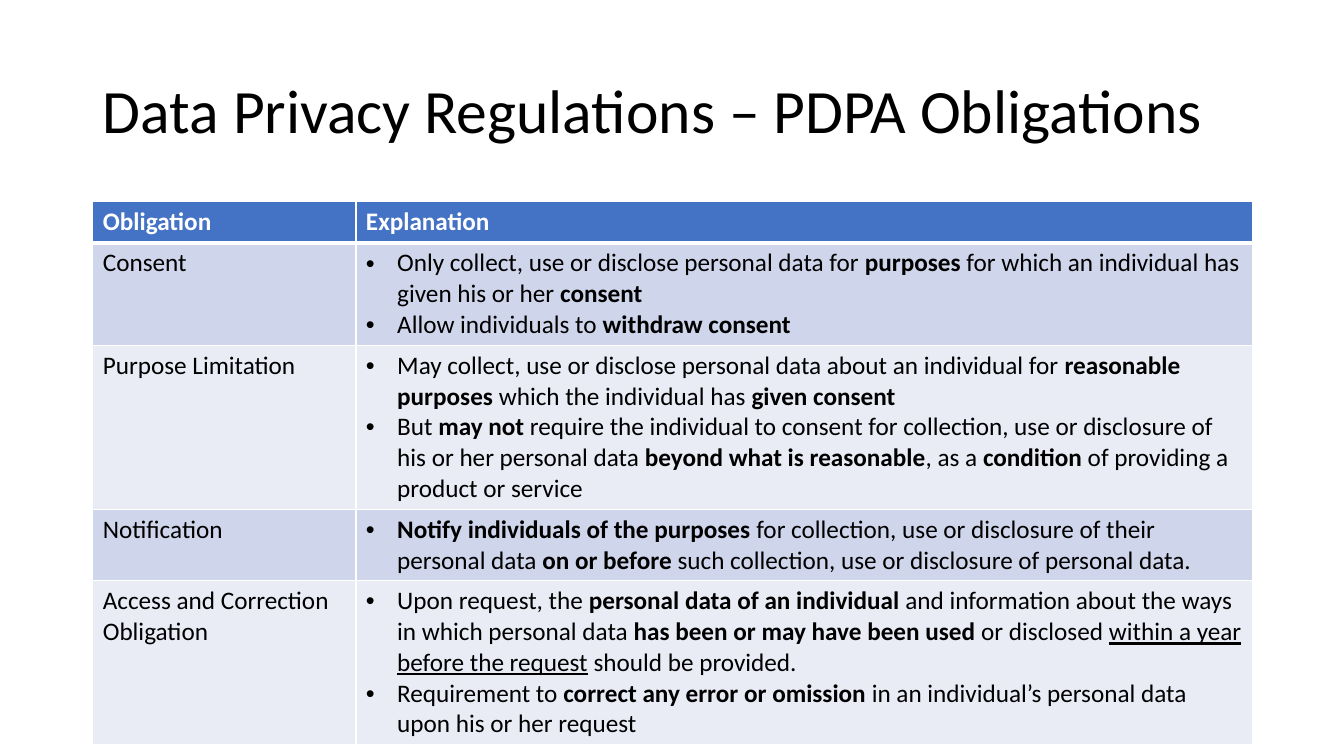
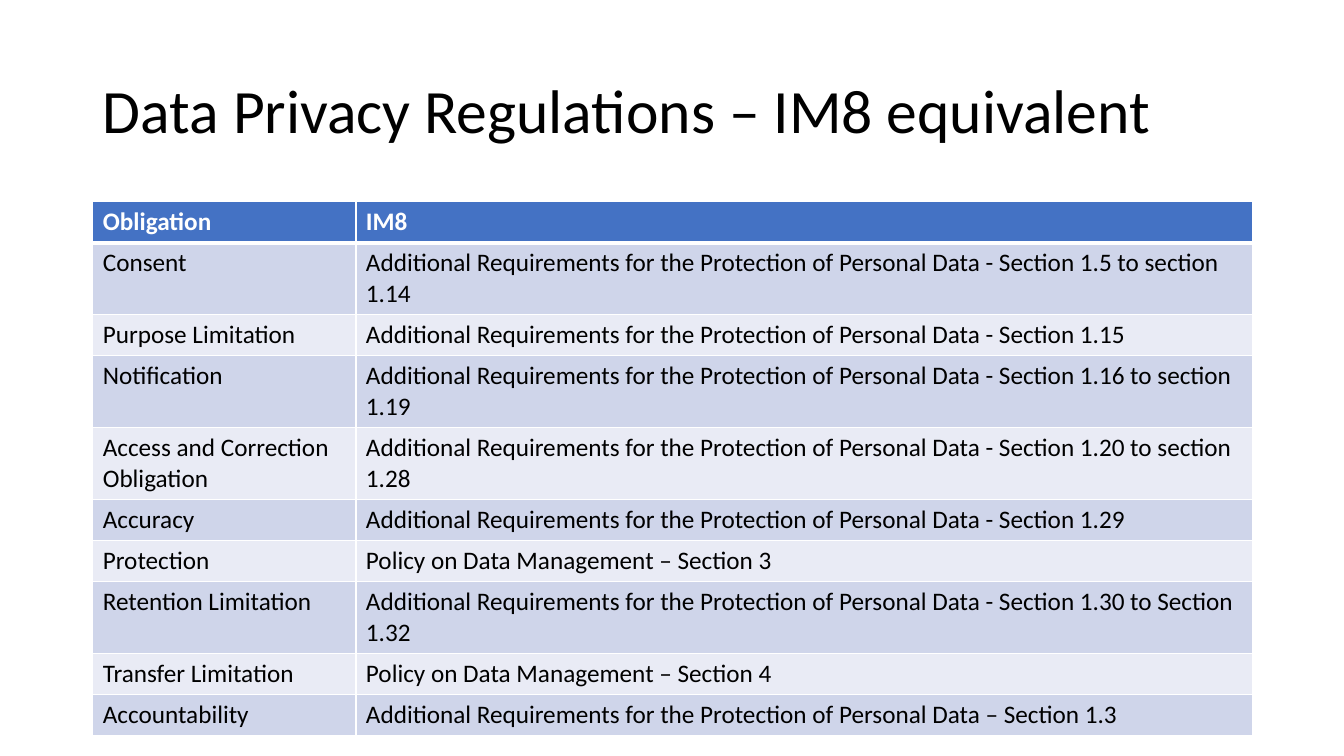
import pptx
import pptx.dml.color
import pptx.enum.text
import pptx.oxml.ns
import pptx.util
from lxml import etree

Inches = pptx.util.Inches
Pt = pptx.util.Pt

FONT = "Calibri"
WHITE = "FFFFFF"
BLACK = "000000"
HEADER_FILL = "4472C4"
BAND_FILLS = ("CFD5EA", "E9EBF5")
LEFT = 0.92
WIDTH = 11.5
TABLE_TOP = 2
OBLIGATION_WIDTH = 2.61
ROW_HEIGHT = 0.41
BULLET_INDENT = 0.31
PLAIN, BOLD, UNDERLINED = "plain", "bold", "underlined"

PDPA_OBLIGATIONS = [
    ("Obligation", "Explanation"),
    ("Consent", [
        [("Only collect, use or disclose personal data for ", PLAIN),
         ("purposes", BOLD),
         (" for which an individual has given his or her ", PLAIN),
         ("consent", BOLD)],
        [("Allow individuals to ", PLAIN), ("withdraw consent", BOLD)],
    ]),
    ("Purpose Limitation", [
        [("May collect, use or disclose personal data about an individual for ", PLAIN),
         ("reasonable purposes ", BOLD),
         ("which the individual has ", PLAIN),
         ("given consent", BOLD)],
        [("But ", PLAIN),
         ("may not", BOLD),
         (" require the individual to consent for collection, use or disclosure "
          "of his or her personal data ", PLAIN),
         ("beyond what is reasonable", BOLD),
         (", as a ", PLAIN),
         ("condition", BOLD),
         (" of providing a product or service", PLAIN)],
    ]),
    ("Notification", [
        [("Notify individuals of the purposes ", BOLD),
         ("for collection, use or disclosure of their personal data ", PLAIN),
         ("on or before ", BOLD),
         ("such collection, use or disclosure of personal data.", PLAIN)],
    ]),
    ("Access and Correction Obligation", [
        [("Upon request, the ", PLAIN),
         ("personal data of an individual ", BOLD),
         ("and information about the ways in which personal data ", PLAIN),
         ("has been or may have been used", BOLD),
         (" or disclosed ", PLAIN),
         ("within a year before the request", UNDERLINED),
         (" should be provided.", PLAIN)],
        [("Requirement to ", PLAIN),
         ("correct any error or omission", BOLD),
         (" in an individual’s personal data upon his or her request", PLAIN)],
    ]),
]

REQUIREMENTS = "Additional Requirements for the Protection of Personal Data"
POLICY = "Policy on Data Management"
IM8_EQUIVALENTS = [
    ("Obligation", "IM8"),
    ("Consent", f"{REQUIREMENTS} - Section 1.5 to section 1.14"),
    ("Purpose Limitation", f"{REQUIREMENTS} - Section 1.15"),
    ("Notification", f"{REQUIREMENTS} - Section 1.16 to section 1.19"),
    ("Access and Correction Obligation", f"{REQUIREMENTS} - Section 1.20 to section 1.28"),
    ("Accuracy", f"{REQUIREMENTS} - Section 1.29"),
    ("Protection", f"{POLICY} – Section 3"),
    ("Retention Limitation", f"{REQUIREMENTS} - Section 1.30 to Section 1.32"),
    ("Transfer Limitation", f"{POLICY} – Section 4"),
    ("Accountability", f"{REQUIREMENTS} – Section 1.3"),
]


def rgb(hex_colour):
    return pptx.dml.color.RGBColor.from_string(hex_colour)


def add_run(paragraph, text, size, colour, style=PLAIN):
    run = paragraph.add_run()
    run.text = text
    run.font.name = FONT
    run.font.size = Pt(size)
    run.font.color.rgb = rgb(colour)
    run.font.bold = style == BOLD
    run.font.underline = style == UNDERLINED


def add_child(parent, tag, **attributes):
    return etree.SubElement(parent, pptx.oxml.ns.qn(tag), attributes)


def add_bullet(paragraph):
    properties = paragraph._p.get_or_add_pPr()
    properties.set("marL", str(Inches(BULLET_INDENT)))
    properties.set("indent", str(-Inches(BULLET_INDENT)))
    add_child(properties, "a:buFont", typeface="Arial")
    add_child(properties, "a:buChar", char="•")


def set_borders(cell, top, bottom):
    properties = cell._tc.get_or_add_tcPr()
    for side, points in (("L", 1), ("R", 1), ("T", top), ("B", bottom)):
        line = add_child(properties, f"a:ln{side}", w=str(Pt(points)))
        add_child(add_child(line, "a:solidFill"), "a:srgbClr", val=WHITE)


def fill_cell(cell, content, row):
    header = row == 0
    set_borders(cell, top=3 if row == 1 else 1, bottom=3 if header else 1)
    cell.fill.solid()
    cell.fill.fore_color.rgb = rgb(HEADER_FILL if header else BAND_FILLS[(row - 1) % 2])
    bulleted = isinstance(content, list)
    paragraphs = content if bulleted else [[(content, BOLD if header else PLAIN)]]
    frame = cell.text_frame
    for index, runs in enumerate(paragraphs):
        paragraph = frame.add_paragraph() if index else frame.paragraphs[0]
        if bulleted:
            add_bullet(paragraph)
        for text, style in runs:
            add_run(paragraph, text, 18, WHITE if header else BLACK, style)


def set_title(slide, text):
    title = slide.shapes.title
    title.left, title.top = Inches(LEFT), Inches(0.4)
    title.width, title.height = Inches(WIDTH), Inches(1.45)
    frame = title.text_frame
    frame.word_wrap = True
    frame.auto_size = pptx.enum.text.MSO_AUTO_SIZE.NONE
    frame.vertical_anchor = pptx.enum.text.MSO_ANCHOR.MIDDLE
    heading = frame.paragraphs[0]
    heading.alignment = pptx.enum.text.PP_ALIGN.LEFT
    heading.line_spacing = 0.9
    add_run(heading, text, 44, BLACK)


def add_obligation_table(slide, rows):
    table = slide.shapes.add_table(
        len(rows), 2, Inches(LEFT), Inches(TABLE_TOP),
        Inches(WIDTH), Inches(ROW_HEIGHT * len(rows))).table
    table.columns[0].width = Inches(OBLIGATION_WIDTH)
    table.columns[1].width = Inches(WIDTH - OBLIGATION_WIDTH)
    for row, contents in enumerate(rows):
        for column, content in enumerate(contents):
            fill_cell(table.cell(row, column), content, row)


def add_obligation_slide(presentation, topic, rows):
    slide = presentation.slides.add_slide(presentation.slide_layouts.get_by_name("Title Only"))
    set_title(slide, f"Data Privacy Regulations – {topic}")
    add_obligation_table(slide, rows)


def main():
    presentation = pptx.Presentation()
    presentation.slide_width = Inches(13.33)
    presentation.slide_height = Inches(7.5)
    add_obligation_slide(presentation, "PDPA Obligations", PDPA_OBLIGATIONS)
    add_obligation_slide(presentation, "IM8 equivalent", IM8_EQUIVALENTS)
    presentation.save("out.pptx")


if __name__ == "__main__":
    main()
